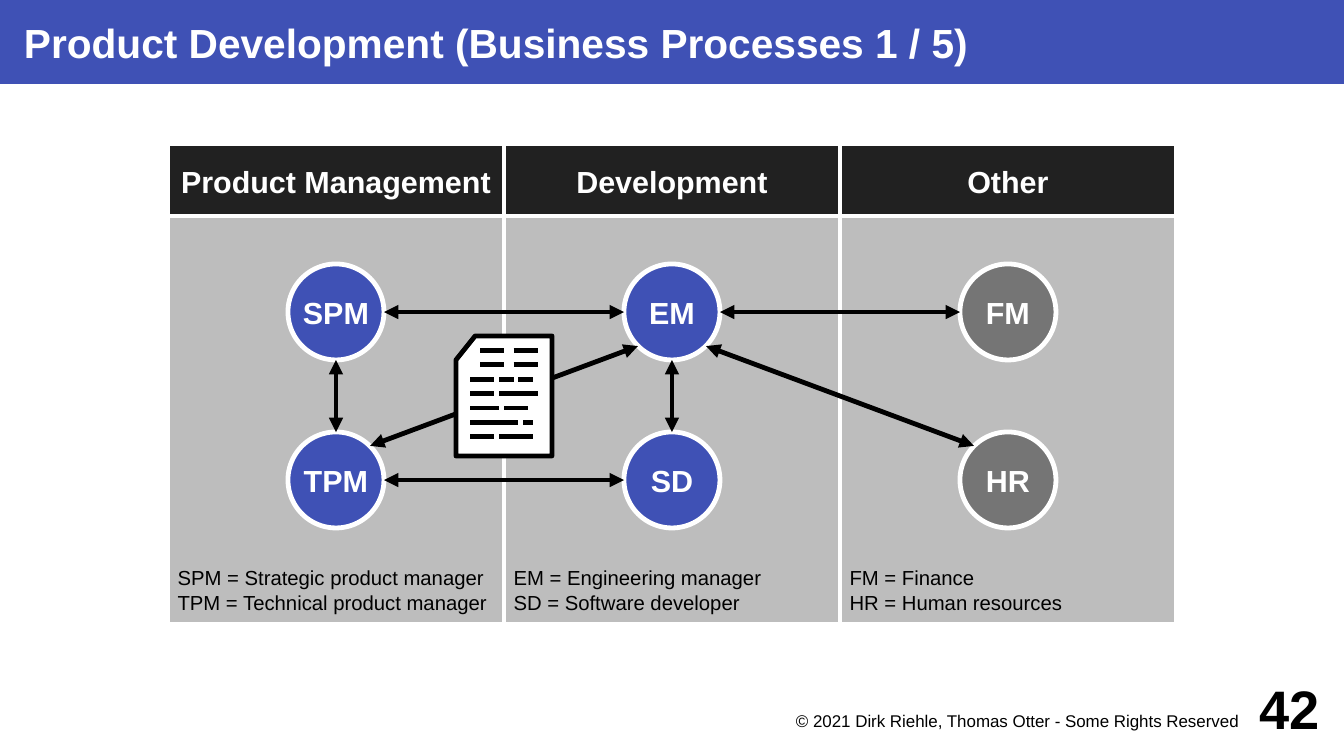
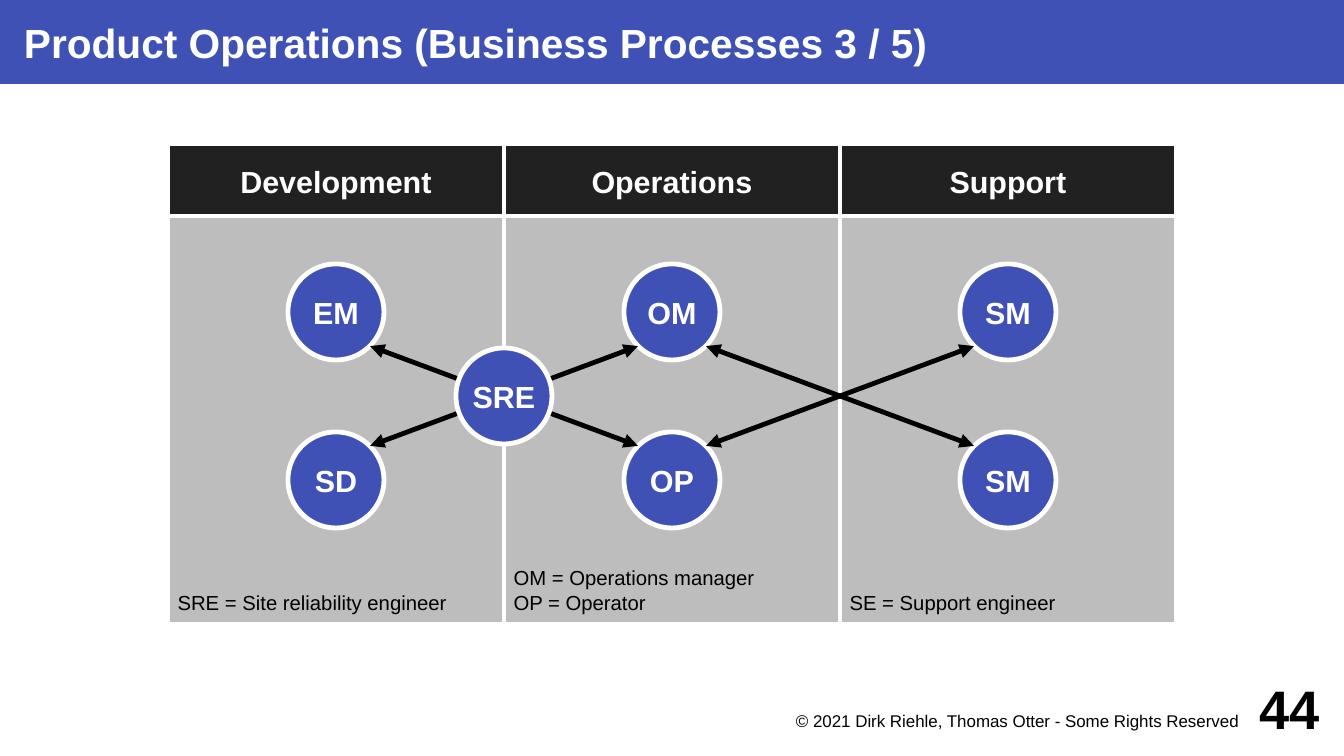
import pptx
import pptx.dml.color
import pptx.enum.shapes
import pptx.enum.text
import pptx.oxml
import pptx.oxml.ns
import pptx.util

Cm = pptx.util.Cm
Pt = pptx.util.Pt
hue = pptx.dml.color.RGBColor.from_string
Shape = pptx.enum.shapes.MSO_SHAPE
Align = pptx.enum.text.PP_ALIGN
Anchor = pptx.enum.text.MSO_ANCHOR

FONT = "Arial"
BLUE, GRAY, DARK, PALE = "3F51B5", "757575", "212121", "BDBDBD"
WHITE, BLACK = "FFFFFF", "000000"
LINE = Pt(2.83)
NOTICE = "© 2021 Dirk Riehle, Thomas Otter - Some Rights Reserved"

# Lengths in cm
WIDE, HIGH = 28, 15.75
LEFT, TOP, COL, HEAD, BODY = 3.5, 3, 7, 1.5, 8.5
RADIUS, DIAG = 1, 0.71
ROWS = (6.5, 10)
PAD = (0.2, 0.2, 0.2, 0.2)

# Nodes are keyed by (column, row); links join two such keys.
SLIDES = [
    dict(
        title="Product Development (Business Processes 1 / 5)", page="42",
        heads=("Product Management", "Development", "Other"),
        notes=("SPM = Strategic product manager\nTPM = Technical product manager",
               "EM = Engineering manager\nSD = Software developer",
               "FM = Finance\nHR = Human resources"),
        nodes={(0, 0): "SPM", (0, 1): "TPM", (1, 0): "EM",
               (1, 1): "SD", (2, 0): "FM", (2, 1): "HR"},
        grays=("FM", "HR"),
        links=[((1, 0), (2, 0)), ((1, 1), (1, 0)), ((0, 1), (0, 0)),
               ((1, 0), (0, 0)), ((0, 1), (1, 1)), ((0, 1), (1, 0)),
               ((1, 0), (2, 1))],
        center="card",
    ),
    dict(
        title="Product Operations (Business Processes 3 / 5)", page="44",
        heads=("Development", "Operations", "Support"),
        notes=("SRE = Site reliability engineer",
               "OM = Operations manager\nOP = Operator",
               "SE = Support engineer"),
        nodes={(0, 0): "EM", (0, 1): "SD", (1, 0): "OM",
               (1, 1): "OP", (2, 0): "SM", (2, 1): "SM"},
        grays=(),
        links=[((0, 0), (1, 1)), ((0, 1), (1, 0)),
               ((1, 0), (2, 1)), ((2, 0), (1, 1))],
        center="SRE",
    ),
]

# Start and end of each dash, one row of the document card per line
DASHES = [
    [(10, 10.5), (10.7, 11.2)],
    [(10, 10.5), (10.7, 11.2)],
    [(9.8, 10.3), (10.4, 10.7), (10.8, 11.1)],
    [(9.8, 10.3), (10.4, 11.2)],
    [(9.8, 10.4), (10.5, 11)],
    [(9.8, 10.3), (10.3, 10.8), (10.9, 11.1)],
    [(9.8, 10.3), (10.4, 11.1)],
]


def dress(shape, text, size, color, fill=None, edge=None, bold=True,
          align=Align.CENTER, anchor=Anchor.MIDDLE, pad=PAD, wrap=False):
    """Give a shape its fill, outline and formatted text."""
    if fill:
        shape.fill.solid()
        shape.fill.fore_color.rgb = hue(fill)
    if edge:
        shape.shadow.inherit = False
        shape.line.color.rgb = hue(edge)
        shape.line.width = LINE
    frame = shape.text_frame
    frame.text = text
    frame.auto_size = pptx.enum.text.MSO_AUTO_SIZE.NONE
    frame.word_wrap = wrap
    frame.vertical_anchor = anchor
    (frame.margin_left, frame.margin_top,
     frame.margin_right, frame.margin_bottom) = map(Cm, pad)
    for para in frame.paragraphs:
        para.alignment = align
        para.font.name = FONT
        para.font.size = Pt(size)
        para.font.bold = bold
        para.font.color.rgb = hue(color)


def draw(shapes, x1, y1, x2, y2, arrows=False):
    """Draw a straight black line, with arrowheads at both ends if asked."""
    line = shapes.add_connector(pptx.enum.shapes.MSO_CONNECTOR.STRAIGHT,
                                Cm(x1), Cm(y1), Cm(x2), Cm(y2))
    line.line.color.rgb = hue(BLACK)
    line.line.width = LINE
    props = line.element.spPr
    if arrows:
        stroke = props.find(pptx.oxml.ns.qn("a:ln"))
        for end in ("headEnd", "tailEnd"):
            stroke.append(pptx.oxml.parse_xml(
                f'<a:{end} {pptx.oxml.ns.nsdecls("a")} type="triangle"/>'))
    props.append(pptx.oxml.parse_xml(
        f'<a:effectLst {pptx.oxml.ns.nsdecls("a")}/>'))


deck = pptx.Presentation()
deck.slide_width, deck.slide_height = Cm(WIDE), Cm(HIGH)

for data in SLIDES:
    slide = deck.slides.add_slide(deck.slide_layouts[5])
    shapes = slide.shapes

    title = shapes.title
    title.left, title.top, title.width, title.height = 0, 0, Cm(WIDE), Cm(1.75)
    dress(title, data["title"], 24, WHITE, BLUE, align=Align.LEFT,
          pad=(0.5, 0, 0, 0), wrap=True)

    for col, (head, note) in enumerate(zip(data["heads"], data["notes"])):
        x = Cm(LEFT + col * COL)
        body = shapes.add_shape(Shape.RECTANGLE, x, Cm(TOP + HEAD),
                                Cm(COL), Cm(BODY))
        dress(body, note, 12, BLACK, PALE, WHITE, bold=False,
              align=Align.LEFT, anchor=Anchor.BOTTOM, wrap=True)
        band = shapes.add_shape(Shape.RECTANGLE, x, Cm(TOP), Cm(COL), Cm(HEAD))
        dress(band, head, 18, WHITE, DARK, WHITE, pad=(0.2, 0.25, 0.2, 0.2))

    spots = {}
    for (col, row), name in data["nodes"].items():
        x, y = LEFT + (col + 0.5) * COL, ROWS[row]
        spots[col, row] = x, y
        node = shapes.add_shape(Shape.OVAL, Cm(x - RADIUS), Cm(y - RADIUS),
                                Cm(2 * RADIUS), Cm(2 * RADIUS))
        fill = GRAY if name in data["grays"] else BLUE
        dress(node, name, 18, WHITE, fill, WHITE)

    for start, end in data["links"]:
        (x1, y1), (x2, y2) = spots[start], spots[end]
        gap = DIAG if x1 != x2 and y1 != y2 else RADIUS
        dx = gap * ((x2 > x1) - (x2 < x1))
        dy = gap * ((y2 > y1) - (y2 < y1))
        draw(shapes, x1 + dx, y1 + dy, x2 - dx, y2 - dy, arrows=True)

    # The middle item sits on the border of the first two columns.
    x, y = LEFT + COL, sum(ROWS) / 2
    if data["center"] == "card":
        card = shapes.add_shape(Shape.FLOWCHART_CARD, Cm(x - 1), Cm(y - 1.25),
                                Cm(2), Cm(2.5))
        dress(card, "", 18, BLACK, WHITE, BLACK)
        for row, dashes in enumerate(DASHES):
            level = 7.3 + row * 0.3
            for start, end in dashes:
                draw(shapes, start, level, end, level)
    else:
        node = shapes.add_shape(Shape.OVAL, Cm(x - RADIUS), Cm(y - RADIUS),
                                Cm(2 * RADIUS), Cm(2 * RADIUS))
        dress(node, data["center"], 18, WHITE, BLUE, WHITE)

    foot = shapes.add_textbox(Cm(15), Cm(14.75), Cm(11), Cm(0.75))
    dress(foot, NOTICE, 10, BLACK, bold=False, align=Align.RIGHT,
          anchor=Anchor.TOP, pad=(0, 0.05, 0.2, 0), wrap=True)
    page = shapes.add_textbox(Cm(25.5), Cm(14), Cm(2), Cm(1.5))
    dress(page, data["page"], 32, BLACK, align=Align.RIGHT,
          pad=(0, 0, 0, 0), wrap=True)

deck.save("out.pptx")
